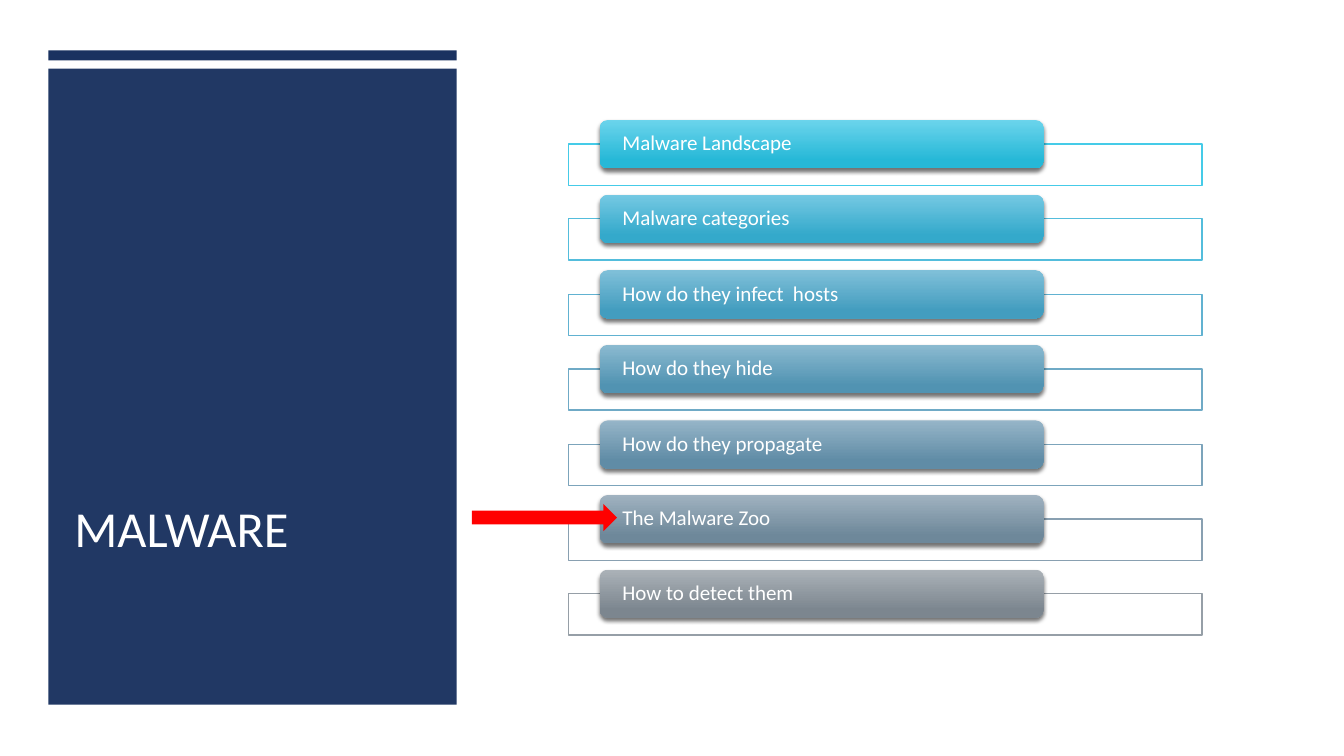
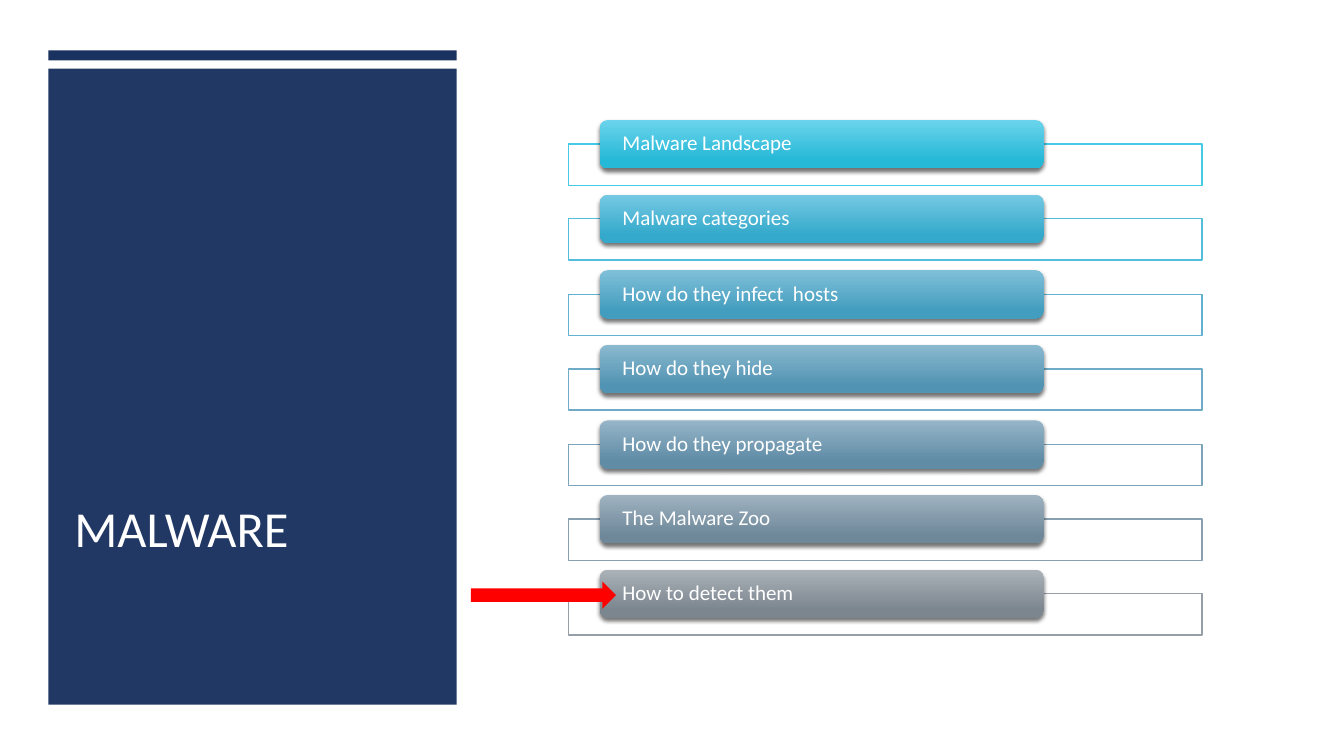
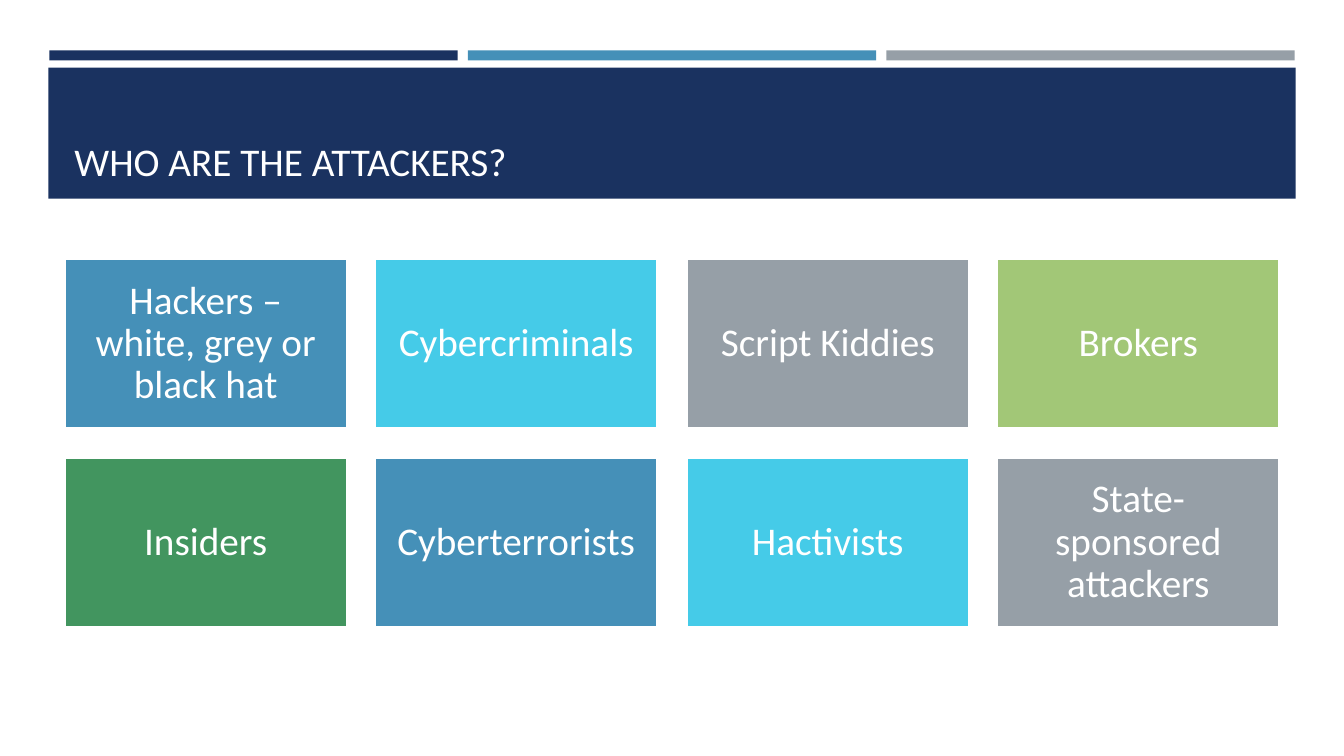
from dataclasses import dataclass

from lxml.etree import SubElement
from pptx import Presentation
from pptx.dml.color import RGBColor
from pptx.enum.shapes import MSO_SHAPE
from pptx.enum.text import MSO_ANCHOR, PP_ALIGN
from pptx.oxml.ns import qn
from pptx.util import Pt

EMU_PER_PX = 9144


@dataclass(frozen=True)
class Theme:
    font: str = "Calibri"
    navy: str = "1A3260"
    blue: str = "4590B8"
    cyan: str = "45CBE8"
    grey: str = "969FA7"
    lime: str = "A2C777"
    green: str = "42955F"
    red: str = "FF0000"
    white: str = "FFFFFF"
    black: str = "000000"
    section_size: int = 36
    heading_size: int = 28
    tile_size: int = 28
    topic_size: int = 15


THEME = Theme()

TOPICS = [
    ("Malware Landscape", "45CBE8", "6BD4EC", "26B8D7"),
    ("Malware categories", "53BDDC", "75C9E3", "34A9CB"),
    ("How do they infect  hosts", "61B2D1", "80C0D9", "439DBF"),
    ("How do they hide", "6FAAC6", "8BBAD0", "5193B2"),
    ("How do they propagate", "7CA4BB", "96B5C8", "608CA6"),
    ("The Malware Zoo", "89A0B1", "A0B2C0", "6E889A"),
    ("How to detect them", "969FA7", "ABB2B8", "7C868F"),
]

ATTACKERS = [
    "Hackers – white, grey or black hat",
    "Cybercriminals",
    "Script Kiddies",
    "Brokers",
    "Insiders",
    "Cyberterrorists",
    "Hactivists",
    "State-sponsored attackers",
]


def px(length):
    return round(length) * EMU_PER_PX


def set_formats(target, formats):
    for name, value in formats.items():
        setattr(target, name, value)


class Deck:
    def __init__(self, theme):
        self.theme = theme
        self.presentation = Presentation()
        set_formats(self.presentation, {"slide_width": px(1333), "slide_height": px(750)})
        self.slide = None

    def new_slide(self):
        self.slide = self.presentation.slides.add_slide(self.presentation.slide_layouts[6])

    def shape(self, box, color, kind=MSO_SHAPE.RECTANGLE, line=None, width=1, alpha=None):
        shape = self.slide.shapes.add_shape(kind, *map(px, box))
        shape.shadow.inherit = False
        shape.fill.solid()
        shape.fill.fore_color.rgb = RGBColor.from_string(color)
        if alpha:
            self.add_alpha(shape._element.spPr.find(".//" + qn("a:srgbClr")), alpha)
        if line:
            shape.line.color.rgb = RGBColor.from_string(line)
            shape.line.width = Pt(width)
        else:
            shape.line.fill.background()
        return shape

    def add_alpha(self, color_element, percent):
        SubElement(color_element, qn("a:alpha"), val=str(percent * 1000))

    def add_gradient(self, shape, top, bottom):
        shape.fill.gradient()
        shape.fill.gradient_angle = 270
        for stop, color, position in zip(shape.fill.gradient_stops, (top, bottom), (0, 0.84)):
            stop.color.rgb = RGBColor.from_string(color)
            stop.position = position

    def add_shadow(self, shape):
        effects = shape._element.spPr.find(qn("a:effectLst"))
        shadow = SubElement(
            effects, qn("a:outerShdw"), blurRad=str(Pt(3)), dist=str(Pt(2)),
            dir="5400000", algn="ctr", rotWithShape="0",
        )
        color = SubElement(shadow, qn("a:srgbClr"), val=self.theme.black)
        self.add_alpha(color, 55)

    def set_text(self, shape, text, size, anchor, align=PP_ALIGN.LEFT, insets=(10, 5)):
        across, down = map(px, insets)
        set_formats(shape.text_frame, {
            "word_wrap": True, "vertical_anchor": anchor,
            "margin_left": across, "margin_right": across,
            "margin_top": down, "margin_bottom": down,
        })
        paragraph = shape.text_frame.paragraphs[0]
        set_formats(paragraph, {"text": text, "alignment": align, "line_spacing": 0.9})
        set_formats(paragraph.font, {"name": self.theme.font, "size": Pt(size)})
        paragraph.font.color.rgb = RGBColor.from_string(self.theme.white)

    def title(self, box, text, size):
        text_box = self.slide.shapes.add_textbox(*map(px, box))
        self.set_text(text_box, text, size, MSO_ANCHOR.BOTTOM)

    def side_panel(self, text):
        self.shape((48, 68, 405, 631), self.theme.navy, alpha=97)
        self.shape((48, 50, 405, 10), self.theme.navy)
        self.title((64, 234, 373, 325), text, self.theme.section_size)

    def header(self, text):
        for index, color in enumerate((self.theme.navy, self.theme.blue, self.theme.grey)):
            self.shape((49 + 415 * index, 50, 405, 10), color)
        self.shape((48, 67, 1237, 130), self.theme.navy)
        self.title((64, 77, 1206, 111), text, self.theme.heading_size)

    def topic(self, index, text, outline, top_color, bottom_color):
        top = 119 + 74.4 * index
        self.shape((564, top + 24, 628, 41), self.theme.white, line=outline, alpha=90)
        bar = self.shape((595, top, 440, 48), top_color, MSO_SHAPE.ROUNDED_RECTANGLE)
        self.add_gradient(bar, top_color, bottom_color)
        self.add_shadow(bar)
        self.set_text(bar, text, self.theme.topic_size, MSO_ANCHOR.MIDDLE, insets=(20, 0))

    def arrow(self, left, top):
        self.shape((left, top, 144, 27), self.theme.red, MSO_SHAPE.RIGHT_ARROW)

    def tile(self, index, text, color):
        row, column = divmod(index, 4)
        box = (64 + 308.33 * column, 257 + 197 * row, 280, 168)
        tile = self.shape(box, color, line=self.theme.white, width=1.75)
        self.set_text(
            tile, text, self.theme.tile_size, MSO_ANCHOR.MIDDLE, PP_ALIGN.CENTER, (12, 12)
        )

    def agenda_slide(self, arrow_left, arrow_top):
        self.new_slide()
        self.side_panel("MALWARE")
        for index, topic in enumerate(TOPICS):
            self.topic(index, *topic)
        self.arrow(arrow_left, arrow_top)

    def attackers_slide(self):
        self.new_slide()
        self.header("WHO ARE THE ATTACKERS?")
        theme = self.theme
        colors = (theme.blue, theme.cyan, theme.grey, theme.lime, theme.green)
        for index, attacker in enumerate(ATTACKERS):
            self.tile(index, attacker, colors[index % len(colors)])


def main():
    deck = Deck(THEME)
    deck.agenda_slide(468, 500)
    deck.agenda_slide(467, 577)
    deck.attackers_slide()
    deck.presentation.save("out.pptx")


if __name__ == "__main__":
    main()
